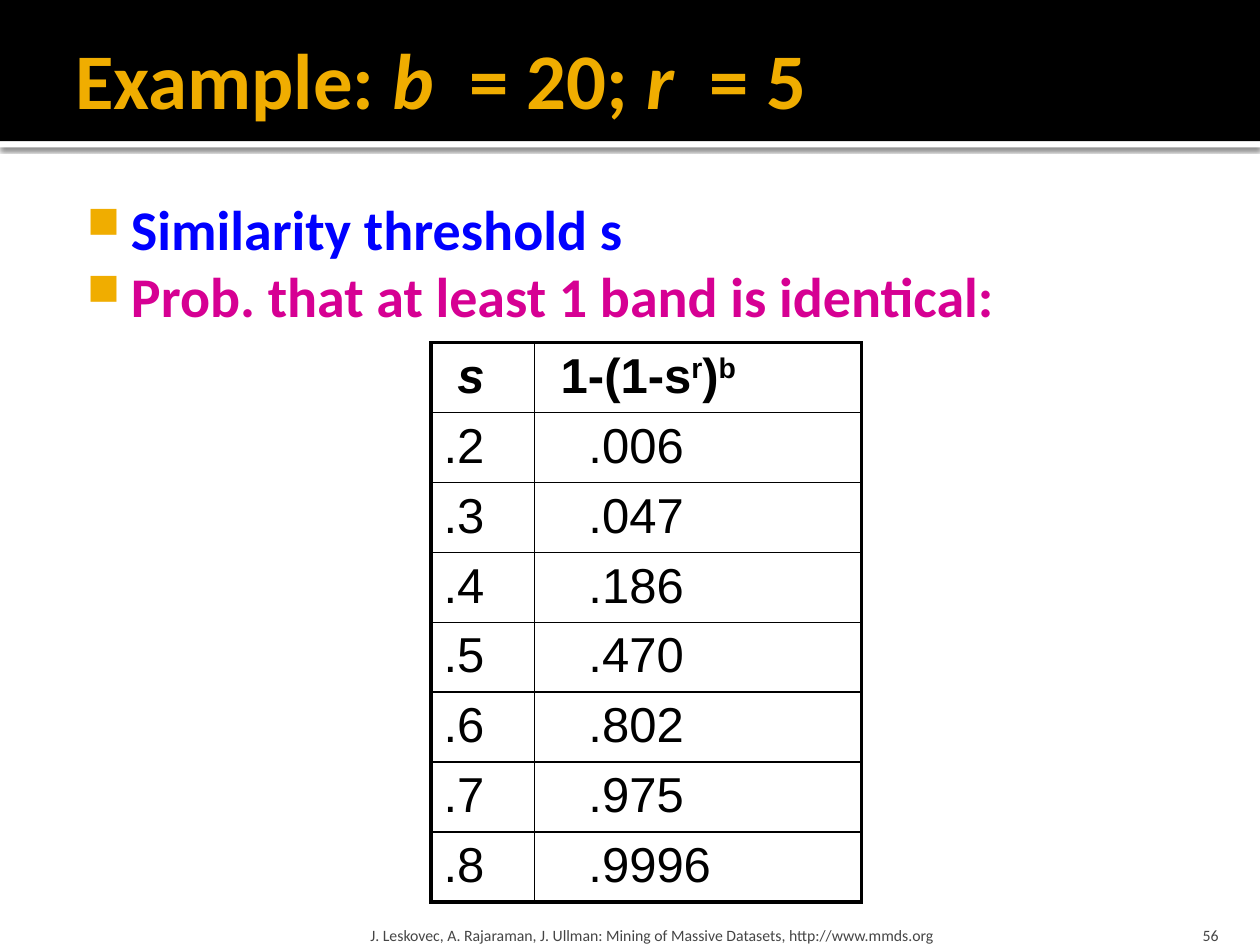
import pptx
import pptx.dml.color
import pptx.enum.shapes
import pptx.enum.text
import pptx.oxml
import pptx.oxml.ns
import pptx.util

COLORS = {
    "black": "000000", "white": "FFFFFF", "gold": "F0AD00",
    "blue": "0000FF", "magenta": "D60093", "gray": "454545",
}
WIDTH, HEIGHT = 10, 7.5
ALIGN = pptx.enum.text.PP_ALIGN
ANCHOR = pptx.enum.text.MSO_ANCHOR
ROWS = [(".2", ".006"), (".3", ".047"), (".4", ".186"), (".5", ".470"),
        (".6", ".802"), (".7", ".975"), (".8", ".9996")]


def inches(*lengths):
    return [pptx.util.Inches(length) for length in lengths]


def rgb(name):
    return pptx.dml.color.RGBColor.from_string(COLORS[name])


def add_xml(parent, markup):
    namespaces = pptx.oxml.ns.nsdecls("a")
    parent.append(pptx.oxml.parse_xml(markup.replace(">", f" {namespaces}>", 1)))


def add_span(para, text, size, color, font="Calibri", bold=False, italic=False, baseline=0):
    span = para.add_run()
    span.text = text
    span.font.name = font
    span.font.size = pptx.util.Pt(size)
    span.font.bold = bold
    span.font.italic = italic
    span.font.color.rgb = rgb(color)
    if baseline:
        span.font._element.set("baseline", str(baseline * 1000))


def set_frame(frame, margins, anchor):
    frame.word_wrap = True
    frame.auto_size = pptx.enum.text.MSO_AUTO_SIZE.NONE
    frame.vertical_anchor = anchor
    (frame.margin_left, frame.margin_top,
     frame.margin_right, frame.margin_bottom) = inches(*margins)


def add_band(page, box, color):
    band = page.shapes.add_shape(pptx.enum.shapes.MSO_SHAPE.RECTANGLE, *inches(*box))
    band.shadow.inherit = False
    band.fill.solid()
    band.fill.fore_color.rgb = rgb(color)
    band.line.fill.background()
    return band


def add_header(page, box):
    left, top, width, height = box
    strip = add_band(page, (left, top + height, width, 0.05), "white")
    effects = strip.element.spPr.find(pptx.oxml.ns.qn("a:effectLst"))
    add_xml(effects, '<a:outerShdw blurRad="31750" dist="10160" dir="5400000">'
            f'<a:srgbClr val="{COLORS["black"]}"><a:alpha val="60000"/></a:srgbClr>'
            '</a:outerShdw>')
    add_band(page, box, "black")
    title = page.shapes.title
    title.element.getparent().append(title.element)
    title.left, title.top, title.width, title.height = inches(
        left + width * 0.05, top + 0.08, width * 0.9, 1.08)
    set_frame(title.text_frame, (0.1, 0.05, 0.05, 0.05), ANCHOR.MIDDLE)
    para = title.text_frame.paragraphs[0]
    para.alignment = ALIGN.LEFT
    for text, italic in [("Example: ", False), ("b ", True), (" = 20; ", False),
                         ("r ", True), (" = 5", False)]:
        add_span(para, text, 45, "gold", bold=True, italic=italic)


def add_bullets(page, box):
    frame = page.shapes.add_textbox(*inches(*box)).text_frame
    set_frame(frame, (0.06, 0.12, 0.1, 0.05), ANCHOR.TOP)
    lines = [("Similarity threshold s", "blue"),
             ("Prob. that at least 1 band is identical:", "magenta")]
    for index, (text, color) in enumerate(lines):
        para = frame.add_paragraph() if index else frame.paragraphs[0]
        properties = para._p.get_or_add_pPr()
        properties.set("marL", str(pptx.util.Inches(0.48)))
        properties.set("indent", str(pptx.util.Inches(-0.35)))
        add_xml(properties, f'<a:buClr><a:srgbClr val="{COLORS["gold"]}"/></a:buClr>')
        add_xml(properties, '<a:buSzPct val="80000"></a:buSzPct>')
        add_xml(properties, '<a:buChar char="■"></a:buChar>')
        add_span(para, text, 32, color, bold=True)


def set_borders(cell, widths):
    properties = cell._tc.get_or_add_tcPr()
    fill = properties.find(pptx.oxml.ns.qn("a:solidFill"))
    properties.remove(fill)
    for side, width in zip("LRTB", widths):
        add_xml(properties, f'<a:ln{side} w="{pptx.util.Pt(width)}"><a:solidFill>'
                f'<a:srgbClr val="{COLORS["black"]}"/></a:solidFill></a:ln{side}>')
    properties.append(fill)


def add_probabilities(page, box):
    left, top, width, height = box
    header = ([("s", 0, True)],
              [("1-(1-s", 0, False), ("r", 30, False), (")", 0, False), ("b", 30, False)])
    values = [[[(text, 0, False)] for text in row] for row in ROWS]
    grid = [header, *values]
    last = len(grid) - 1
    table = page.shapes.add_table(len(grid), 2, *inches(*box)).table
    table.first_row = table.horz_banding = False
    for column, share in zip(table.columns, (0.24, 0.76)):
        column.width = pptx.util.Inches(width * share)
    space = 0.11
    for row, entries in enumerate(grid):
        table.rows[row].height = pptx.util.Inches(height / len(grid))
        for column, spans in enumerate(entries):
            cell = table.cell(row, column)
            cell.fill.solid()
            cell.fill.fore_color.rgb = rgb("white")
            indent = 1 if row == 0 else 3 * column
            cell.margin_left = pptx.util.Inches(0.1 + indent * space)
            edges = (column == 0, column == 1, row == 0, row == last)
            set_borders(cell, [2.25 if edge else 1 for edge in edges])
            for text, baseline, italic in spans:
                add_span(cell.text_frame.paragraphs[0], text, 28, "black", "Arial",
                         bold=row == 0, italic=italic, baseline=baseline)


def add_footer(page, box):
    left, top, width, height = box
    parts = [
        (0, 0.875, 0.05, ALIGN.LEFT,
         "J. Leskovec, A. Rajaraman, J. Ullman: Mining of Massive Datasets, http://www.mmds.org"),
        (0.884, 0.116, 0.1, ALIGN.RIGHT, "56"),
    ]
    for start, share, margin, alignment, text in parts:
        place = inches(left + width * start, top, width * share, height)
        frame = page.shapes.add_textbox(*place).text_frame
        set_frame(frame, (margin, 0.05, margin, 0), ANCHOR.BOTTOM)
        para = frame.paragraphs[0]
        para.alignment = alignment
        add_span(para, text, 9, "gray")


def main():
    deck = pptx.Presentation()
    deck.slide_width, deck.slide_height = inches(WIDTH, HEIGHT)
    page = deck.slides.add_slide(deck.slide_layouts[5])
    page.background.fill.solid()
    page.background.fill.fore_color.rgb = rgb("white")
    add_header(page, (0, 0, WIDTH, 1.12))
    add_bullets(page, (WIDTH * 0.05, 1.42, WIDTH * 0.9, 5.75))
    add_probabilities(page, (3.42, 2.72, 3.42, 4.44))
    add_footer(page, (2.89, HEIGHT * 0.96, 6.88, HEIGHT * 0.04))
    deck.save("out.pptx")


if __name__ == "__main__":
    main()
